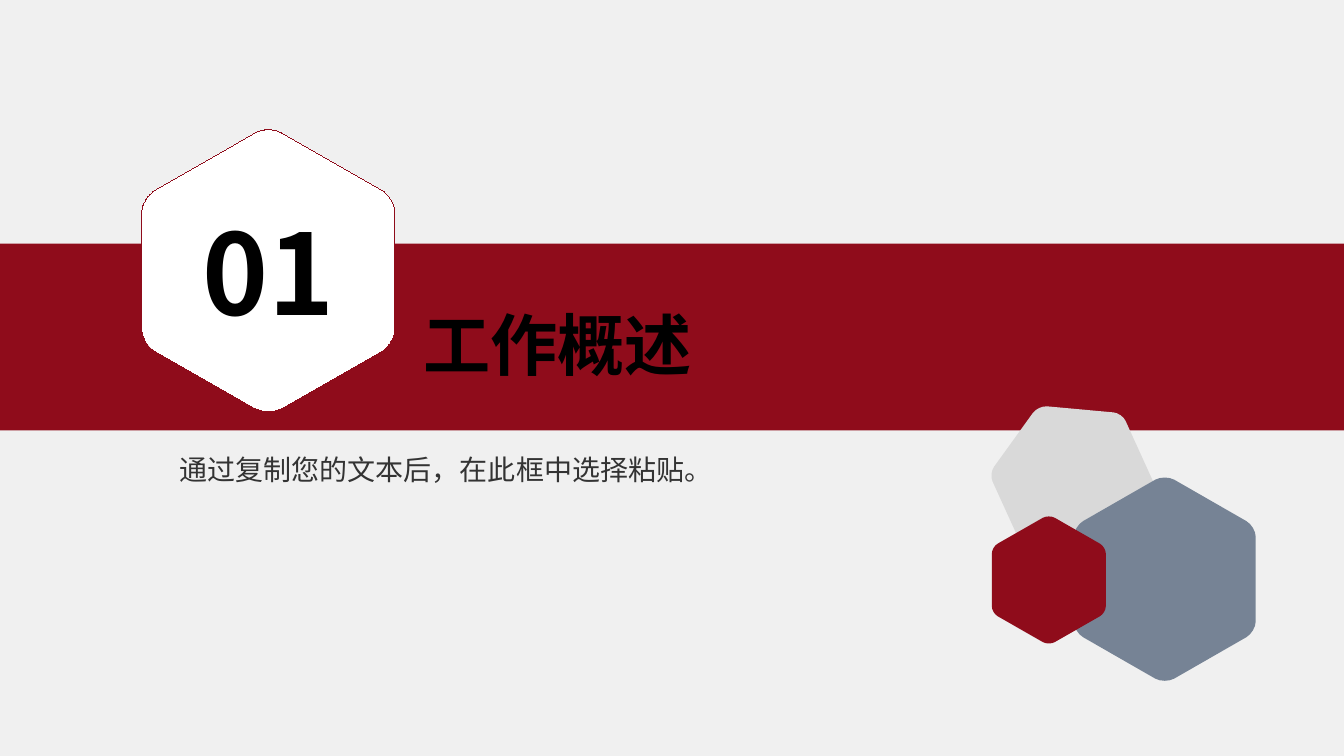
from lxml import etree
from pptx import Presentation, util as u
from pptx.dml.color import RGBColor
from pptx.enum import lang, shapes, text
from pptx.oxml.ns import qn

FONT = "Noto Sans CJK SC"
RED, SLATE, GREY = "8F0C1B", "768395", "D9D9D9"
WHITE, BLACK, INK, PAPER = "FFFFFF", "000000", "333333", "F0F0F0"
SIDE_CORNER = [(100, 29.4), (100, 26.6), (97.6, 23), (94.8, 21.6)]
TOP_CORNER = [(55.2, 1.4), (52.4, 0), (47.6, 0), (44.8, 1.4)]


def paint(target, colour):
    target.solid()
    target.fore_color.rgb = RGBColor.from_string(colour)


def hexagon_corners():
    mirrored = [(100 - x, y) for x, y in reversed(SIDE_CORNER)]
    upper = SIDE_CORNER + TOP_CORNER + mirrored
    return upper + [(100 - x, 100 - y) for x, y in upper]


def round_corners(sp):
    segments = sp._element.findall(".//" + qn("a:lnTo"))
    for i in range(0, 24, 4):
        c1, c2, end = segments[i:i + 3]
        c1.tag = qn("a:cubicBezTo")
        for segment in (c2, end):
            c1.append(segment[0])
            segment.getparent().remove(segment)


def write(sp, words, size, colour=BLACK, bold=False, align=text.PP_ALIGN.LEFT,
          spacing=1.0, wrap=True, anchor=text.MSO_ANCHOR.TOP,
          fit=text.MSO_AUTO_SIZE.SHAPE_TO_FIT_TEXT):
    tf = sp.text_frame
    tf.auto_size = fit
    tf.word_wrap = wrap
    tf.vertical_anchor = anchor
    p = tf.paragraphs[0]
    p.alignment = align
    p.line_spacing = spacing
    p.space_before = u.Pt(0)
    r = p.add_run()
    r.text = words
    r.font.name = FONT
    r.font.size = u.Pt(size)
    r.font.bold = bold
    r.font.language_id = lang.MSO_LANGUAGE_ID.SIMPLIFIED_CHINESE
    paint(r.font.fill, colour)
    etree.SubElement(r.font._element, qn("a:ea"), typeface=FONT)


class Deck:
    def __init__(self, width, height):
        self.prs = Presentation()
        self.prs.slide_width, self.prs.slide_height = u.Pt(width), u.Pt(height)
        self.slide = self.prs.slides.add_slide(self.prs.slide_layouts[1])
        paint(self.slide.background.fill, PAPER)

    def finish(self, sp, fill, line=None):
        sp.shadow.inherit = False
        paint(sp.fill, fill)
        if line:
            paint(sp.line.fill, line)
            sp._element.spPr.find(qn("a:ln")).set("w", "0")
        else:
            sp.line.fill.background()
        return sp

    def band(self, x, y, w, h, fill):
        sp = self.slide.shapes.add_shape(
            shapes.MSO_SHAPE.RECTANGLE, u.Pt(x), u.Pt(y), u.Pt(w), u.Pt(h))
        return self.finish(sp, fill)

    def hexagon(self, x, y, w, h, fill, line=None, rotation=0):
        points = [(u.Pt(x + w * px / 100), u.Pt(y + h * py / 100))
                  for px, py in hexagon_corners()]
        builder = self.slide.shapes.build_freeform(*points[0])
        builder.add_line_segments(points[1:], close=True)
        sp = self.finish(builder.convert_to_shape(), fill, line)
        round_corners(sp)
        sp.rotation = rotation
        return sp

    def placeholder(self, idx, x, y, w, h, words, size, **style):
        sp = self.slide.placeholders[idx]
        sp.left, sp.top, sp.width, sp.height = (u.Pt(v) for v in (x, y, w, h))
        write(sp, words, size, **style)
        pPr = sp.text_frame.paragraphs[0]._p.get_or_add_pPr()
        pPr.set("marL", "0")
        pPr.set("indent", "0")
        etree.SubElement(pPr, qn("a:buNone"))
        self.slide.shapes._spTree.append(sp._element)


def main():
    deck = Deck(960, 540)
    deck.band(0, 174, 960, 133.5, RED)
    number = deck.hexagon(101.3, 92, 180.8, 202.8, WHITE, line=RED)
    write(number, "01", 80, bold=True, align=text.PP_ALIGN.CENTER,
          anchor=text.MSO_ANCHOR.MIDDLE, fit=text.MSO_AUTO_SIZE.NONE)
    deck.placeholder(0, 295.2, 213, 208, 65.5, "工作概述", 48, bold=True, wrap=False)
    deck.hexagon(714.2, 285.8, 104.4, 116.6, GREY, rotation=335.5)
    deck.hexagon(767, 340.6, 130, 146.2, SLATE)
    deck.placeholder(1, 121, 314.6, 512, 34, "通过复制您的文本后，在此框中选择粘贴。", 20,
                     colour=INK, spacing=1.2)
    deck.hexagon(708.5, 368.6, 81.4, 91.4, RED)
    deck.prs.save("out.pptx")


if __name__ == "__main__":
    main()
